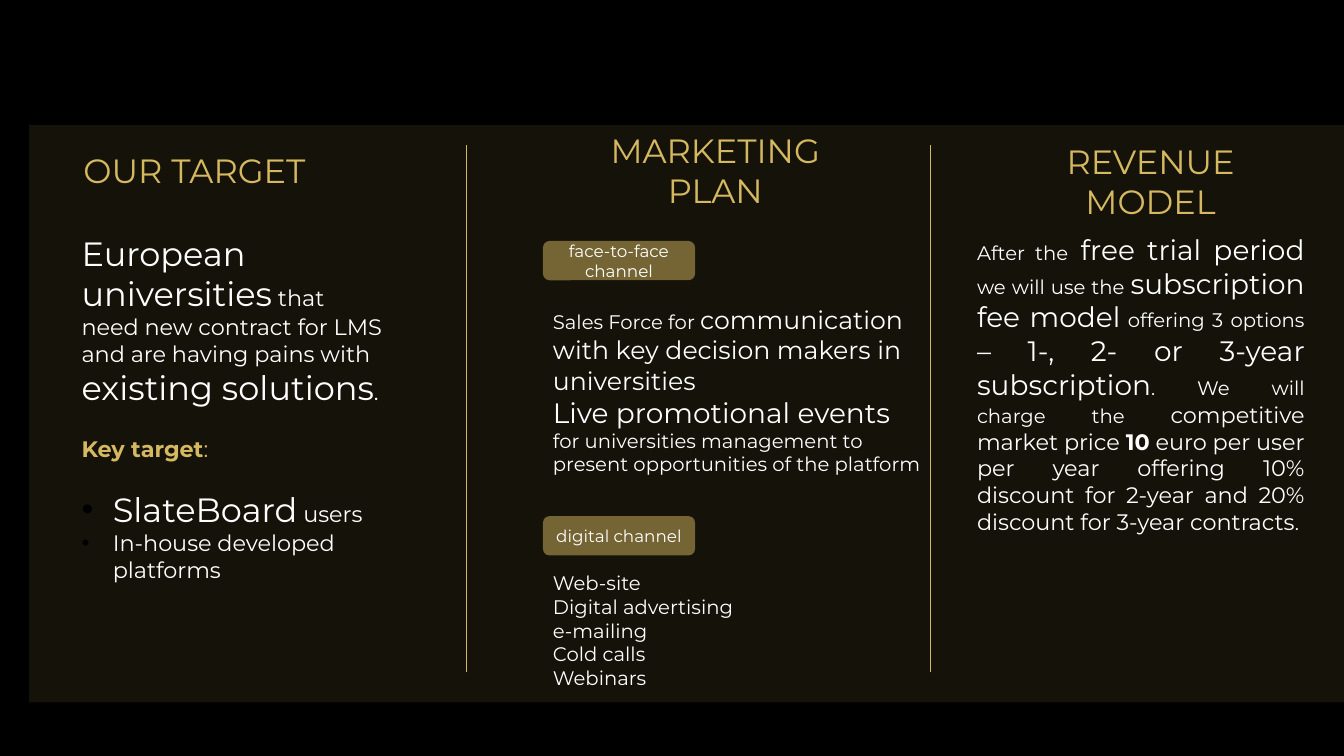
from lxml import etree
from pptx import Presentation
from pptx import util as u
from pptx.dml.color import RGBColor
from pptx.enum import shapes, text
from pptx.oxml import ns

COLORS = {"background": "000000", "gold": "D5B961", "white": "FFFFFF"}
FONT = "Montserrat"
HEADING_WIDTH, HEADING_HEIGHT = 20.84, 12.13
CHANNEL_LEFT, CHANNEL_WIDTH = 40.4, 28.86

presentation = Presentation()
presentation.slide_width = u.Inches(13.34)
presentation.slide_height = u.Inches(7.5)
slide = presentation.slides.add_slide(presentation.slide_layouts[1])
slide.background.fill.solid()
slide.background.fill.fore_color.rgb = RGBColor.from_string(COLORS["background"])


def share(left, top, width, height):
    """Turn percentages of the slide's width and height into lengths."""
    across = presentation.slide_width / 100
    down = presentation.slide_height / 100
    return [int(length) for length in
            (left * across, top * down, width * across, height * down)]


def write(shape, paragraphs, color="white", alignment=text.PP_ALIGN.LEFT,
          anchor=text.MSO_ANCHOR.TOP):
    """Fill a shape with paragraphs, each a list of (text, size) runs."""
    frame = shape.text_frame
    frame.word_wrap = True
    frame.auto_size = text.MSO_AUTO_SIZE.NONE
    frame.vertical_anchor = anchor
    for index, runs in enumerate(paragraphs):
        paragraph = frame.paragraphs[0] if index == 0 else frame.add_paragraph()
        paragraph.alignment = alignment
        paragraph.space_before = u.Pt(0)
        paragraph.font.name = FONT
        paragraph.font.color.rgb = RGBColor.from_string(COLORS[color])
        sizes = {size for _, size in runs}
        if len(sizes) == 1:
            paragraph.font.size = u.Pt(runs[0][1])
        for words, size in runs:
            run = paragraph.add_run()
            run.text = words
            if len(sizes) > 1:
                run.font.size = u.Pt(size)


# Panel, behind everything else
panel = slide.shapes.add_shape(shapes.MSO_SHAPE.RECTANGLE, *share(2.17, 16.53, 97.83, 76.4))
slide.shapes._spTree.insert(2, panel._element)
channels = [("face-to-face channel", 31.87), ("digital channel", 68.27)]
filled = [(panel, 10)]
for label, top in channels:
    channel = slide.shapes.add_shape(shapes.MSO_SHAPE.ROUNDED_RECTANGLE,
                                     *share(CHANNEL_LEFT, top, 11.32, 5.2))
    write(channel, [[(label, 12)]], "white", text.PP_ALIGN.CENTER, text.MSO_ANCHOR.MIDDLE)
    filled.append((channel, 50))
for shape, opacity in filled:
    shape.shadow.inherit = False
    shape.line.fill.background()
    shape.fill.solid()
    shape.fill.fore_color.rgb = RGBColor.from_string(COLORS["gold"])
    color_element = shape._element.spPr.find(".//" + ns.qn("a:srgbClr"))
    etree.SubElement(color_element, ns.qn("a:alpha"), val=str(opacity * 1000))

# Column headings
title, target = slide.placeholders
title.left, title.top, title.width, title.height = share(4.05, 19.2, HEADING_WIDTH, 6.67)
marketing = slide.shapes.add_textbox(*share(42.8, 16.53, HEADING_WIDTH, HEADING_HEIGHT))
revenue = slide.shapes.add_textbox(*share(75.19, 18, HEADING_WIDTH, HEADING_HEIGHT))
for heading, lines in [(title, ["OUR TARGET"]), (marketing, ["MARKETING PLAN"]),
                       (revenue, ["REVENUE", "MODEL"])]:
    write(heading, [[(line, 24)] for line in lines], "gold", text.PP_ALIGN.CENTER)

# Target column
target.left, target.top, target.width, target.height = share(5.32, 30.13, 24.21, 48)
write(target, [
    [("European universities", 24),
     (" that need new contract for LMS and are having pains with ", 16),
     ("existing solutions", 24), (".", 16)],
    [("Key target", 16), (":", 16)],
    [("SlateBoard", 24), (" users", 16)],
    [("In-house developed platforms", 16)],
])
for index, paragraph in enumerate(target.text_frame.paragraphs):
    properties = paragraph._p.get_or_add_pPr()
    bulleted = index >= 2
    indent = u.Inches(0.31) if bulleted else 0
    properties.set("marL", str(indent))
    properties.set("indent", str(-indent))
    defaults = properties.find(ns.qn("a:defRPr"))
    if bulleted:
        bullet_color = etree.Element(ns.qn("a:buClr"))
        etree.SubElement(bullet_color, ns.qn("a:srgbClr"), val=COLORS["background"])
        defaults.addprevious(bullet_color)
        defaults.addprevious(etree.Element(ns.qn("a:buFont"), typeface="Arial"))
        defaults.addprevious(etree.Element(ns.qn("a:buChar"), char="•"))
    else:
        defaults.addprevious(etree.Element(ns.qn("a:buNone")))
key_target, first_user = target.text_frame.paragraphs[1:3]
key_target.space_before = first_user.space_before = u.Pt(19.5)
key_target.font.color.rgb = RGBColor.from_string(COLORS["gold"])
key_target.runs[0].font.bold = True

# Marketing column
sales = slide.shapes.add_textbox(*share(CHANNEL_LEFT, 39.6, CHANNEL_WIDTH, 24.27))
write(sales, [
    [("Sales Force for ", 14),
     ("communication with key decision makers in universities", 18)],
    [("Live promotional events", 20),
     (" for universities management to present opportunities of the platform", 14)],
])
digital = slide.shapes.add_textbox(*share(CHANNEL_LEFT, 74.93, CHANNEL_WIDTH, 17.07))
write(digital, [[(item, 14)] for item in
                ["Web-site", "Digital advertising", "e-mailing", "Cold calls", "Webinars"]])

# Revenue column
pricing = slide.shapes.add_textbox(*share(71.96, 30.13, 25.86, 41.73))
write(pricing, [[
    ("After the", 14), (" free trial period", 20), (" we will use the ", 14),
    ("subscription fee model", 20), (" offering 3 options ", 14),
    ("– 1-, 2- or 3-year subscription", 20), (". We will charge the ", 14),
    ("competitive market price ", 16), ("10", 16),
    (" euro per user per year offering 10% discount for 2-year"
     " and 20% discount for 3-year contracts", 16), (".", 14),
]], alignment=text.PP_ALIGN.JUSTIFY)
pricing.text_frame.paragraphs[0].runs[8].font.bold = True

# Column dividers
for position in (34.71, 69.27):
    x, top, _, height = share(position, 19.2, 0, 69.73)
    divider = slide.shapes.add_connector(shapes.MSO_CONNECTOR.STRAIGHT, x, top + height, x, top)
    divider.line.color.rgb = RGBColor.from_string(COLORS["gold"])
    divider.line.width = u.Pt(0.75)
    etree.SubElement(divider._element.spPr, ns.qn("a:effectLst"))

presentation.save("out.pptx")
